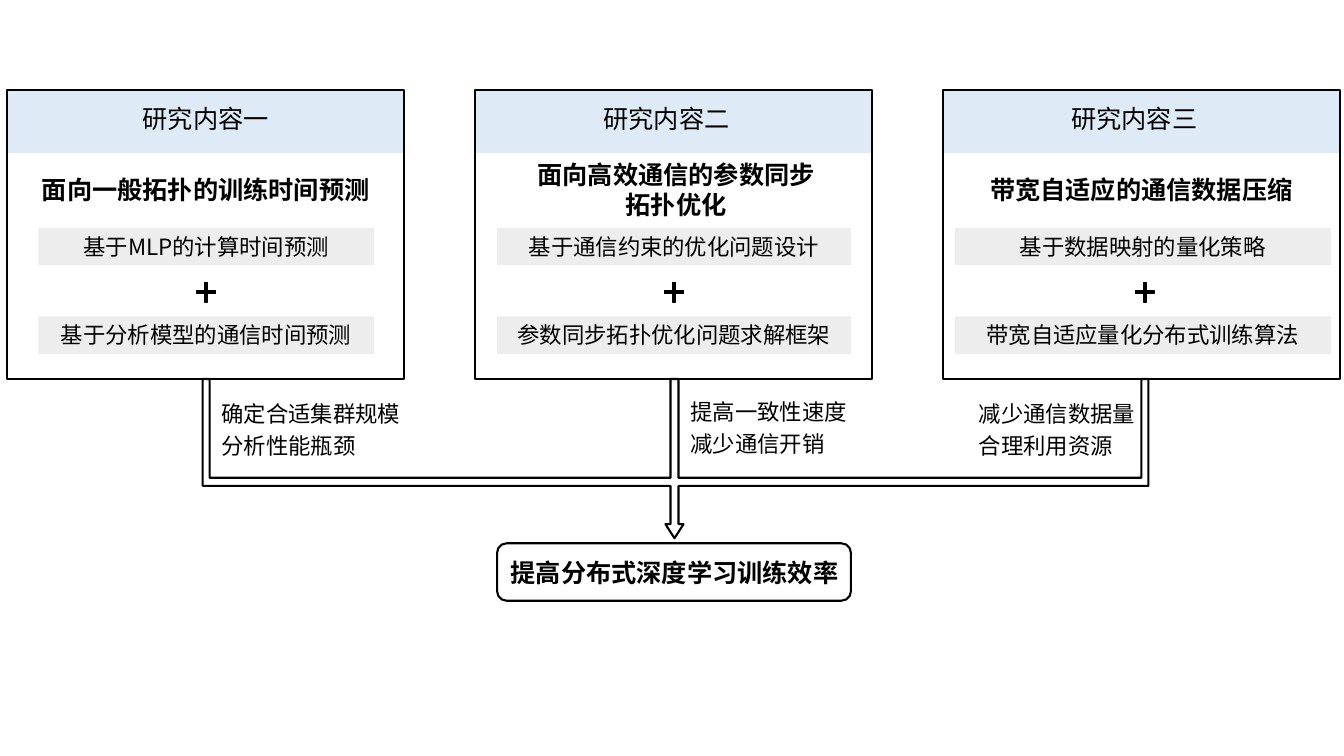
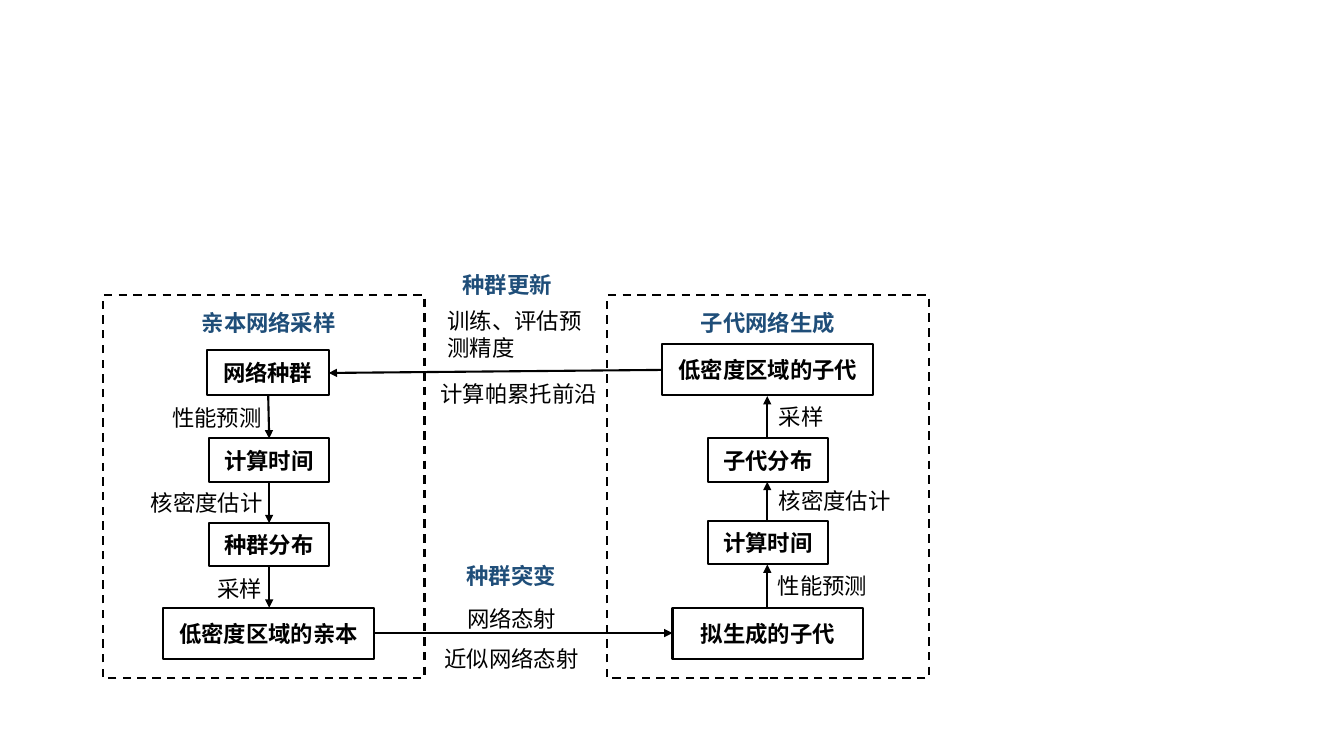
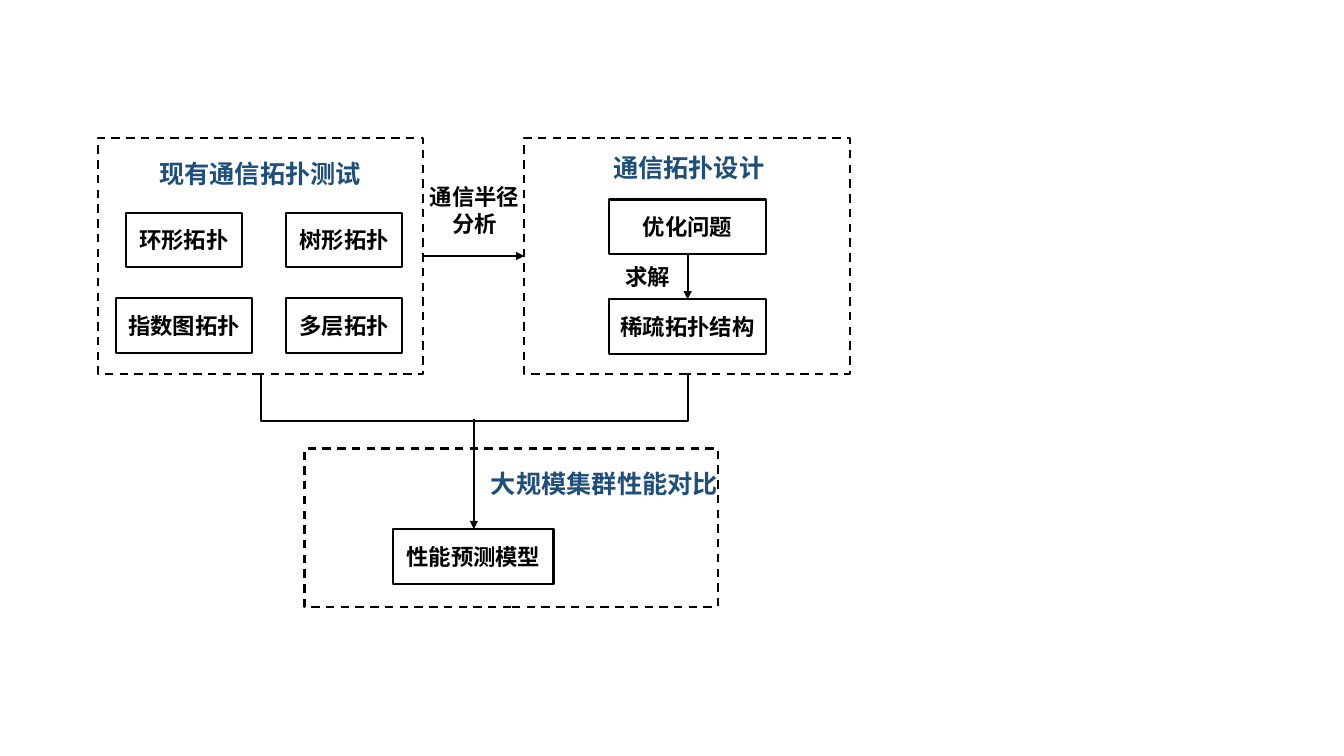
from lxml.etree import SubElement
from pptx import Presentation
from pptx.dml.color import RGBColor
from pptx.enum.dml import MSO_LINE
from pptx.enum.shapes import MSO_CONNECTOR as Connector, MSO_SHAPE as Preset
from pptx.enum.text import MSO_ANCHOR as Anchor, MSO_AUTO_SIZE as AutoSize, PP_ALIGN as Align
from pptx.oxml.ns import qn
from pptx.util import Pt

PX = 9144  # 100 px to the inch
FONT = "Noto Sans CJK SC"
BLACK, WHITE, NAVY = "000000", "FFFFFF", "1F4E79"
PALE_BLUE, GRAY = "DEEBF7", "EDEDED"
BORDER = 1.5


def emu(*lengths):
    return [length * PX for length in lengths]


def color(hex_value):
    return RGBColor.from_string(hex_value)


# Text
def write(shape, lines, size=16, bold=False, text_color=BLACK, align=Align.CENTER, spacing=None):
    frame = shape.text_frame
    for index, line in enumerate(lines):
        paragraph = frame.paragraphs[0] if index == 0 else frame.add_paragraph()
        paragraph.alignment = align
        if spacing:
            paragraph.line_spacing = spacing
        run = paragraph.add_run()
        run.text = line
        font = run.font
        font.name, font.size, font.bold = FONT, Pt(size), bold
        font.color.rgb = color(text_color)
        SubElement(run._r.get_or_add_rPr(), qn("a:ea")).set("typeface", FONT)


def add_label(slide, box, *lines, wrap=False, **style):
    shape = slide.shapes.add_textbox(*emu(*box))
    shape.text_frame.word_wrap = wrap
    shape.text_frame.auto_size = AutoSize.SHAPE_TO_FIT_TEXT
    write(shape, lines, **style)


def add_heading(slide, box, text, size=16):
    add_label(slide, box, text, size=size, bold=True, text_color=NAVY)


# Shapes
def paint(shape, fill=None, line=None, width=BORDER):
    shape.shadow.inherit = False
    if fill:
        shape.fill.solid()
        shape.fill.fore_color.rgb = color(fill)
    else:
        shape.fill.background()
    if line:
        shape.line.color.rgb = color(line)
        shape.line.width = Pt(width)
    else:
        shape.line.fill.background()


def add_preset(slide, preset, box, **look):
    shape = slide.shapes.add_shape(preset, *emu(*box))
    paint(shape, **look)
    return shape


def add_step(slide, box, text):
    shape = add_preset(slide, Preset.RECTANGLE, box, line=BLACK)
    shape.text_frame.word_wrap = True
    shape.text_frame.vertical_anchor = Anchor.MIDDLE
    write(shape, [text], bold=True)


def add_bar(slide, box, text):
    shape = add_preset(slide, Preset.RECTANGLE, box, fill=GRAY)
    shape.text_frame.word_wrap = True
    shape.text_frame.vertical_anchor = Anchor.TOP
    shape.text_frame.auto_size = AutoSize.SHAPE_TO_FIT_TEXT
    write(shape, [text])


def add_dashed_frame(slide, box):
    shape = add_preset(slide, Preset.RECTANGLE, box, line=BLACK)
    shape.line.dash_style = MSO_LINE.DASH


# Connectors
def add_line(slide, kind, ends):
    connector = slide.shapes.add_connector(kind, *emu(*ends))
    connector.line.color.rgb = color(BLACK)
    connector.line.width = Pt(BORDER)
    SubElement(connector.element.spPr, qn("a:effectLst"))
    return connector


def add_arrow(slide, *ends):
    connector = add_line(slide, Connector.STRAIGHT, ends)
    SubElement(connector.line._get_or_add_ln(), qn("a:tailEnd")).set("type", "triangle")


def add_bracket(slide, left, right, top, depth):
    """Elbow that drops from two points at one height: 1 px wide, turned by 270 degrees."""
    middle, half = (left + right) // 2, (right - left) // 2
    ends = (middle + 1, top - half, middle, top - half + right - left)
    properties = add_line(slide, Connector.ELBOW, ends).element.spPr
    properties.find(qn("a:xfrm")).set("rot", str(270 * 60000))
    geometry = properties.find(qn("a:prstGeom"))
    guides = geometry.find(qn("a:avLst"))
    if guides is None:
        guides = SubElement(geometry, qn("a:avLst"))
    guide = SubElement(guides, qn("a:gd"))
    guide.set("name", "adj1")
    guide.set("fmla", f"val {depth * 100000}")


# Slide 1: three research topics leading to one goal
def add_topic(slide, left, number, number_left, title, title_box, bar_left, bar_width, bars, plus_left):
    add_preset(slide, Preset.RECTANGLE, (left, 89, 394, 62), fill=PALE_BLUE, line=PALE_BLUE, width=1)
    add_preset(slide, Preset.RECTANGLE, (left, 89, 394, 287), line=BLACK)
    add_label(slide, (number_left, 98, 146, 40), number, size=18)
    add_label(slide, title_box, title, wrap=True, size=18, bold=True)
    for index, text in enumerate(bars):
        add_bar(slide, (bar_left, 226 + 88 * index, bar_width, 37), text)
    plus = add_preset(slide, Preset.MATH_PLUS, (plus_left, 277, 25, 26), fill=BLACK, line=BLACK, width=1)
    plus.adjustments[0] = 0.12


def add_merge_arrow(slide):
    top, upper, lower, neck, tip = 376, 474, 482, 520, 534
    points = [
        (201, top), (208, top), (208, upper), (665, upper), (665, top), (673, top),
        (673, upper), (1132, upper), (1132, top), (1139, top), (1139, lower), (673, lower),
        (673, neck), (678, neck), (669, tip), (660, neck), (665, neck), (665, lower), (201, lower),
    ]
    builder = slide.shapes.build_freeform(*points[0], scale=PX)
    builder.add_line_segments(points[1:], close=True)
    paint(builder.convert_to_shape(), fill=WHITE, line=BLACK)


def build_research_slide(slide):
    topics = [
        ("研究内容一", 131, "面向一般拓扑的训练时间预测", (30, 168, 348, 40), 38, 333,
         ("基于MLP的计算时间预测", "基于分析模型的通信时间预测"), 192),
        ("研究内容二", 588, "面向高效通信的参数同步拓扑优化", (512, 153, 317, 71), 493, 351,
         ("基于通信约束的优化问题设计", "参数同步拓扑优化问题求解框架"), 656),
        ("研究内容三", 1052, "带宽自适应的通信数据压缩", (935, 168, 394, 40), 947, 373,
         ("基于数据映射的量化策略", "带宽自适应量化分布式训练算法"), 1123),
    ]
    for index, topic in enumerate(topics):
        add_topic(slide, 7 + 464 * index, *topic)
    add_merge_arrow(slide)
    for box, *lines in [
        ((210, 387, 200, 70), "确定合适集群规模", "分析性能瓶颈"),
        ((675, 385, 177, 70), "提高一致性速度", "减少通信开销"),
        ((961, 387, 177, 70), "减少通信数据量", "合理利用资源"),
    ]:
        add_label(slide, box, *lines, align=Align.LEFT, spacing=1.2)
    add_preset(slide, Preset.ROUNDED_RECTANGLE, (493, 539, 351, 57), line=BLACK)
    add_label(slide, (495, 548, 348, 40), "提高分布式深度学习训练效率", size=18, bold=True)


# Slide 2: evolution loop between parent and child networks
def build_evolution_slide(slide):
    for left in (102, 602):
        add_dashed_frame(slide, (left, 293, 319, 380))
    for box, text in [
        ((189, 302, 155, 37), "亲本网络采样"),
        ((684, 302, 155, 37), "子代网络生成"),
        ((448, 264, 110, 37), "种群更新"),
        ((452, 553, 110, 37), "种群突变"),
    ]:
        add_heading(slide, box, text)
    for box, text in [
        ((205, 347, 121, 45), "网络种群"),
        ((207, 435, 119, 43), "计算时间"),
        ((207, 519, 119, 43), "种群分布"),
        ((162, 603, 209, 51), "低密度区域的亲本"),
        ((667, 603, 189, 51), "拟生成的子代"),
        ((702, 517, 119, 43), "计算时间"),
        ((702, 435, 119, 43), "子代分布"),
        ((657, 341, 209, 51), "低密度区域的子代"),
    ]:
        add_step(slide, box, text)
    for ends in [
        (266, 392, 267, 435), (267, 478, 267, 519), (267, 562, 267, 603),
        (371, 628, 667, 628),
        (761, 603, 761, 560), (761, 517, 761, 478), (761, 435, 761, 393),
        (657, 367, 326, 370),
    ]:
        add_arrow(slide, *ends)
    for box, text in [
        ((160, 396, 110, 37), "性能预测"),
        ((139, 480, 132, 37), "核密度估计"),
        ((205, 566, 65, 37), "采样"),
        ((761, 563, 110, 37), "性能预测"),
        ((762, 478, 132, 37), "核密度估计"),
        ((762, 395, 65, 37), "采样"),
        ((426, 372, 177, 37), "计算帕累托前沿"),
    ]:
        add_label(slide, box, text)
    add_label(slide, (430, 582, 155, 87), "网络态射", "近似网络态射", spacing=1.5)
    add_label(slide, (434, 300, 163, 64), "训练、评估预测精度", wrap=True, align=Align.LEFT)


# Slide 3: topology tests, design and comparison
def build_topology_slide(slide):
    for box in [(97, 137, 323, 234), (520, 137, 323, 234), (302, 445, 410, 157)]:
        add_dashed_frame(slide, box)
    for box, text in [
        ((147, 152, 222, 40), "现有通信拓扑测试"),
        ((597, 146, 172, 40), "通信拓扑设计"),
        ((471, 460, 257, 40), "大规模集群性能对比"),
    ]:
        add_heading(slide, box, text, size=18)
    for left, top, width, text in [
        (125, 211, 115, "环形拓扑"),
        (284, 211, 115, "树形拓扑"),
        (115, 296, 135, "指数图拓扑"),
        (284, 296, 115, "多层拓扑"),
        (604, 198, 156, "优化问题"),
        (604, 297, 156, "稀疏拓扑结构"),
        (390, 525, 159, "性能预测模型"),
    ]:
        add_step(slide, (left, top, width, 54), text)
    add_bracket(slide, 259, 682, 370, 48)
    for ends in [(420, 254, 520, 254), (470, 416, 470, 525), (682, 252, 682, 297)]:
        add_arrow(slide, *ends)
    add_label(slide, (411, 177, 119, 64), "通信半径分析", wrap=True, bold=True)
    add_label(slide, (583, 256, 119, 37), "求解", wrap=True, bold=True)


def main():
    presentation = Presentation()
    presentation.slide_width, presentation.slide_height = emu(1333, 750)
    blank = presentation.slide_layouts[6]
    for build in (build_research_slide, build_evolution_slide, build_topology_slide):
        build(presentation.slides.add_slide(blank))
    presentation.save("out.pptx")


if __name__ == "__main__":
    main()
